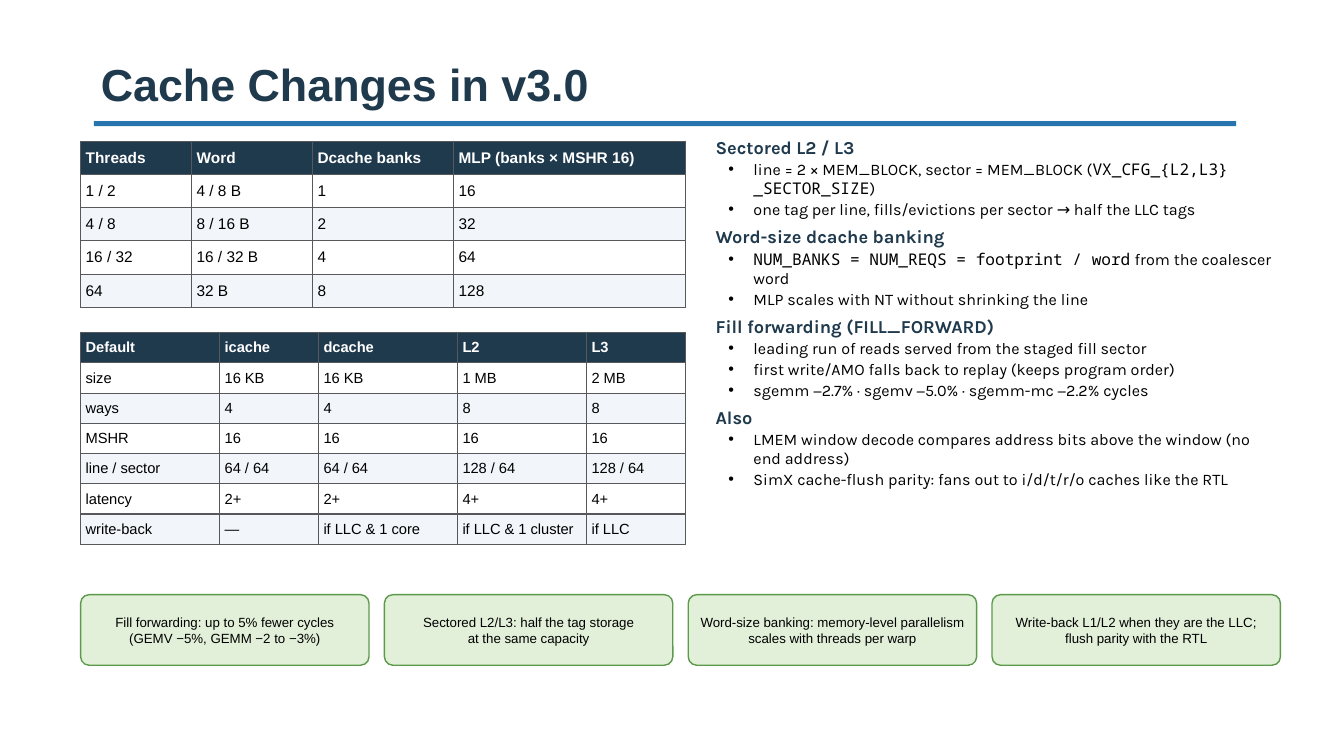
from lxml.etree import SubElement
from pptx import Presentation
from pptx.dml.color import RGBColor
from pptx.enum.shapes import MSO_SHAPE as SHAPE
from pptx.enum.text import MSO_ANCHOR as ANCHOR, MSO_AUTO_SIZE as AUTO, PP_ALIGN as ALIGN
from pptx.oxml.ns import qn
from pptx.util import Pt

HEX = {"navy": "1F394D", "blue": "2774AE", "black": "000000", "white": "FFFFFF",
       "band": "F2F6FA", "border": "57585B", "green": "E2F0D9", "green line": "5B9A4B"}
RGB = {name: RGBColor.from_string(value) for name, value in HEX.items()}


def write(p, text, size, font="Arial", color="black", bold=False, align=ALIGN.LEFT):
    """Add text to paragraph p; parts between backticks are set in monospace."""
    p.alignment = align
    for i, part in enumerate(text.split("`")):
        if part:
            r = p.add_run()
            r.text = part
            r.font.name = "Noto Sans Mono" if i % 2 else font
            r.font.size = Pt(size)
            r.font.bold = bold
            r.font.color.rgb = RGB[color]


def place(sp, left, top, width, height):
    sp.left, sp.top, sp.width, sp.height = Pt(left), Pt(top), Pt(width), Pt(height)


prs = Presentation()
prs.slide_width, prs.slide_height = Pt(960), Pt(540)
s = prs.slides.add_slide(prs.slide_layouts[1])
title, body = s.placeholders

# Title and rule
place(title, 64.8, 18, 799.2, 64.8)
tf = title.text_frame
tf.auto_size = AUTO.NONE
tf.vertical_anchor = ANCHOR.BOTTOM
write(tf.paragraphs[0], "Cache Changes in v3.0", 32, color="navy", bold=True)

rule = s.shapes.add_shape(SHAPE.RECTANGLE, Pt(67), Pt(86.6), Pt(816), Pt(3.6))
rule.shadow.inherit = False
rule.fill.solid()
rule.fill.fore_color.rgb = RGB["blue"]
rule.line.fill.background()

# Change list
changes = [
    ("Sectored L2 / L3", [
        "line = 2 × MEM_BLOCK, sector = MEM_BLOCK (`VX_CFG_{L2,L3}_SECTOR_SIZE`)",
        "one tag per line, fills/evictions per sector → half the LLC tags"]),
    ("Word-size dcache banking", [
        "`NUM_BANKS = NUM_REQS = footprint / word` from the coalescer word",
        "MLP scales with NT without shrinking the line"]),
    ("Fill forwarding (FILL_FORWARD)", [
        "leading run of reads served from the staged fill sector",
        "first write/AMO falls back to replay (keeps program order)",
        "sgemm −2.7% · sgemv −5.0% · sgemm-mc −2.2% cycles"]),
    ("Also", [
        "LMEM window decode compares address bits above the window (no end address)",
        "SimX cache-flush parity: fans out to i/d/t/r/o caches like the RTL"]),
]
place(body, 504, 93.6, 417.6, 388.8)
tf = body.text_frame
tf.auto_size = AUTO.NONE
for n, (heading, items) in enumerate(changes):
    p = tf.add_paragraph() if n else tf.paragraphs[0]
    p.space_before = Pt(5 if n else 0)
    pPr = p._p.get_or_add_pPr()
    pPr.set("marL", "0")
    pPr.set("indent", "0")
    SubElement(pPr, qn("a:buNone"))
    write(p, heading, 13, font="Karla", color="navy", bold=True)
    for item in items:
        p = tf.add_paragraph()
        p.level = 1
        p.space_before = Pt(1)
        pPr = p._p.get_or_add_pPr()
        pPr.set("marL", str(Pt(27)))
        pPr.set("indent", str(-Pt(18)))
        SubElement(pPr, qn("a:buFont"), typeface="Arial")
        SubElement(pPr, qn("a:buChar"), char="•")
        write(p, item, 11.5, font="Karla")

# Tables: top, row height, font size, column widths, rows
tables = [
    (100.8, 23.76, 11, [79.2, 86.4, 100.8, 165.6], [
        ["Threads", "Word", "Dcache banks", "MLP (banks × MSHR 16)"],
        ["1 / 2", "4 / 8 B", "1", "16"],
        ["4 / 8", "8 / 16 B", "2", "32"],
        ["16 / 32", "16 / 32 B", "4", "64"],
        ["64", "32 B", "8", "128"]]),
    (237.6, 21.6, 10.5, [99.3, 70.6, 99.3, 92.2, 70.6], [
        ["Default", "icache", "dcache", "L2", "L3"],
        ["size", "16 KB", "16 KB", "1 MB", "2 MB"],
        ["ways", "4", "4", "8", "8"],
        ["MSHR", "16", "16", "16", "16"],
        ["line / sector", "64 / 64", "64 / 64", "128 / 64", "128 / 64"],
        ["latency", "2+", "2+", "4+", "4+"],
        ["write-back", "—", "if LLC & 1 core", "if LLC & 1 cluster", "if LLC"]]),
]
for top, row_height, size, widths, rows in tables:
    table = s.shapes.add_table(len(rows), len(widths), Pt(57.6), Pt(top), Pt(432),
                               Pt(row_height * len(rows))).table
    table.horz_banding = False
    for column, width in zip(table.columns, widths):
        column.width = Pt(width)
    for i, row in enumerate(rows):
        table.rows[i].height = Pt(row_height)
        fill = "navy" if i == 0 else "white" if i % 2 else "band"
        for j, text in enumerate(row):
            cell = table.cell(i, j)
            cell.vertical_anchor = ANCHOR.MIDDLE
            cell.margin_left = cell.margin_right = Pt(3.6)
            cell.margin_top = cell.margin_bottom = Pt(1.44)
            tcPr = cell._tc.get_or_add_tcPr()
            for side in ("a:lnL", "a:lnR", "a:lnT", "a:lnB"):
                ln = SubElement(tcPr, qn(side), w=str(Pt(1)))
                SubElement(SubElement(ln, qn("a:solidFill")), qn("a:srgbClr"), val=HEX["border"])
            cell.fill.solid()
            cell.fill.fore_color.rgb = RGB[fill]
            write(cell.text_frame.paragraphs[0], text, size,
                  color="black" if i else "white", bold=i == 0)

# Takeaway boxes
takeaways = [
    ("Fill forwarding: up to 5% fewer cycles", "(GEMV −5%, GEMM −2 to −3%)"),
    ("Sectored L2/L3: half the tag storage", "at the same capacity"),
    ("Word-size banking: memory-level parallelism", "scales with threads per warp"),
    ("Write-back L1/L2 when they are the LLC;", "flush parity with the RTL"),
]
for n, lines in enumerate(takeaways):
    box = s.shapes.add_shape(SHAPE.ROUNDED_RECTANGLE, Pt(57.6 + 217 * n), Pt(424.8),
                             Pt(206), Pt(50.4))
    box.adjustments[0] = 0.12
    box.shadow.inherit = False
    box.fill.solid()
    box.fill.fore_color.rgb = RGB["green"]
    box.line.color.rgb = RGB["green line"]
    box.line.width = Pt(1)
    tf = box.text_frame
    tf.word_wrap = True
    tf.vertical_anchor = ANCHOR.MIDDLE
    tf.margin_left = tf.margin_right = Pt(2.88)
    tf.margin_top = tf.margin_bottom = Pt(1.44)
    for k, line in enumerate(lines):
        p = tf.add_paragraph() if k else tf.paragraphs[0]
        write(p, line, 9.5, align=ALIGN.CENTER)

prs.save("out.pptx")
